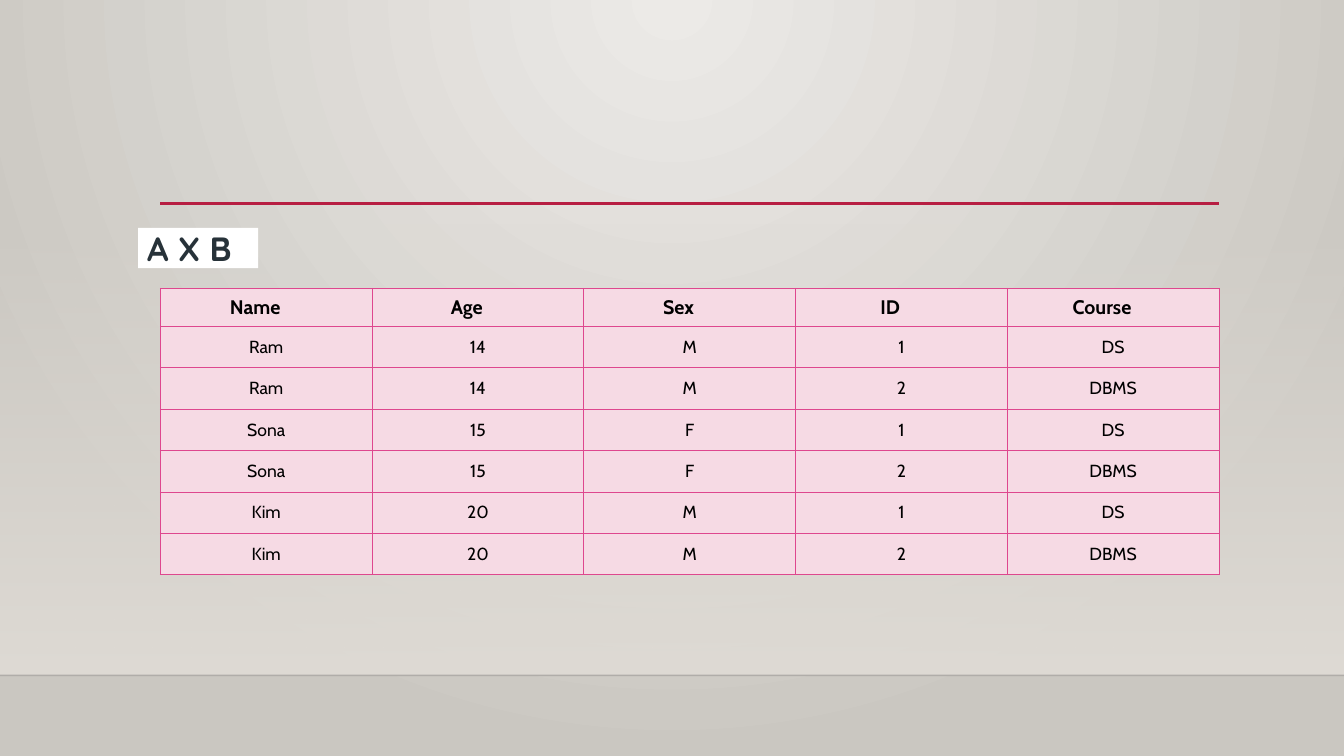
from pptx import Presentation
from pptx.dml.color import RGBColor
from pptx.enum import shapes, text
from pptx.oxml import parse_xml
from pptx.oxml.ns import nsdecls, qn
from pptx.util import Inches, Pt
from lxml import etree

COLORS = {
    "centre": "ECEAE7", "edge": "CAC7C1", "wall": "DFDBD5", "floor": "000001",
    "rule": "B71E42", "cell": "F6DAE4", "border": "DE478E", "ink": "000000",
    "label": "273239", "white": "FFFFFF",
}
HEADER = ["Name", "Age", "Sex", "ID", "Course"]
STUDENTS = [("Ram", "14", "M"), ("Sona", "15", "F"), ("Kim", "20", "M")]
COURSES = [("1", "DS"), ("2", "DBMS")]


def color(name):
    return RGBColor.from_string(COLORS[name])


def set_opacity(element, percent):
    srgb = next(element.iter(qn("a:srgbClr")))
    etree.SubElement(srgb, qn("a:alpha")).set("val", str(percent * 1000))


def set_gradient(fill, first, last):
    fill.gradient()
    for stop, name in zip(fill.gradient_stops, (first, last)):
        stop.color.rgb = color(name)


def add_line(slide, left, top, width, name, points):
    line = slide.shapes.add_connector(
        shapes.MSO_CONNECTOR.STRAIGHT, Inches(left), Inches(top),
        Inches(left + width), Inches(top))
    line.line.color.rgb = color(name)
    line.line.width = Pt(points)
    etree.SubElement(line.element.spPr, qn("a:effectLst"))
    return line


def add_rectangle(slide, left, top, width, height):
    rectangle = slide.shapes.add_shape(
        shapes.MSO_SHAPE.RECTANGLE, Inches(left), Inches(top),
        Inches(width), Inches(height))
    rectangle.shadow.inherit = False
    rectangle.line.fill.background()
    return rectangle


def format_run(run, font, size, name, bold):
    run.font.name = font
    run.font.size = Pt(size)
    run.font.bold = bold
    run.font.color.rgb = color(name)


def add_backdrop(slide, left, top, width, height):
    set_gradient(slide.background.fill, "centre", "edge")
    gradient = slide.element.xpath(".//p:bg//a:gradFill")[0]
    gradient.replace(gradient.find(qn("a:lin")), parse_xml(
        f'<a:path {nsdecls("a")} path="circle">'
        '<a:fillToRect l="43000" t="0" r="43000" b="100000"/></a:path>'))
    wall = add_rectangle(slide, left, top, width, height)
    set_gradient(wall.fill, "wall", "wall")
    wall.fill.gradient_angle = 270
    set_opacity(wall.element.spPr, 0)
    floor = add_line(slide, left, top + height, width, "floor", 1)
    set_opacity(floor.element.spPr, 20)


def add_borders(cell):
    properties = cell._tc.get_or_add_tcPr()
    for index, side in enumerate(("lnL", "lnR", "lnT", "lnB")):
        properties.insert(index, parse_xml(
            f'<a:{side} {nsdecls("a")} w="{Pt(0.75)}"><a:solidFill>'
            f'<a:srgbClr val="{COLORS["border"]}"/></a:solidFill></a:{side}>'))


def fill_cell(cell, value, is_header):
    cell.fill.solid()
    cell.fill.fore_color.rgb = color("cell")
    add_borders(cell)
    cell.vertical_anchor = text.MSO_ANCHOR.MIDDLE
    cell.margin_left = Inches(0.07)
    cell.margin_right = Inches(0.29 if is_header else 0.07)
    cell.margin_top = cell.margin_bottom = Inches(0.07 if is_header else 0.1)
    cell.text_frame.text = value
    paragraph = cell.text_frame.paragraphs[0]
    paragraph.alignment = text.PP_ALIGN.CENTER
    format_run(paragraph.runs[0], "Cabin", 14 if is_header else 12.5, "ink", is_header)


def add_product_table(slide, left, top, width, height, header_height=0.38):
    rows = [HEADER] + [student + course for student in STUDENTS for course in COURSES]
    table = slide.shapes.add_table(
        len(rows), len(HEADER), Inches(left), Inches(top),
        Inches(width), Inches(height)).table
    for column in table.columns:
        column.width = Inches(width / len(HEADER))
    body_height = (height - header_height) / (len(rows) - 1)
    for row_index, values in enumerate(rows):
        is_header = row_index == 0
        table.rows[row_index].height = Inches(header_height if is_header else body_height)
        for column_index, value in enumerate(values):
            fill_cell(table.cell(row_index, column_index), value, is_header)


def add_label(slide, left, top, width, height):
    label = add_rectangle(slide, left, top, width, height)
    label.fill.solid()
    label.fill.fore_color.rgb = color("white")
    frame = label.text_frame
    frame.word_wrap = True
    frame.vertical_anchor = text.MSO_ANCHOR.MIDDLE
    frame.margin_left = Inches(0.09)
    frame.margin_top = frame.margin_right = frame.margin_bottom = 0
    frame.text = "A X B"
    paragraph = frame.paragraphs[0]
    paragraph.alignment = text.PP_ALIGN.JUSTIFY
    format_run(paragraph.runs[0], "Quicksand", 24, "label", True)


def main():
    presentation = Presentation()
    presentation.slide_width = Inches(13.33)
    presentation.slide_height = Inches(7.5)
    slide = presentation.slides.add_slide(presentation.slide_layouts[6])
    add_backdrop(slide, 0, 2.21, 13.33, 4.49)
    add_line(slide, 1.59, 2.02, 10.5, "rule", 2.5)
    add_product_table(slide, 1.59, 2.86, 10.5, 2.8)
    add_label(slide, 1.37, 2.26, 1.19, 0.4)
    presentation.save("out.pptx")


if __name__ == "__main__":
    main()
